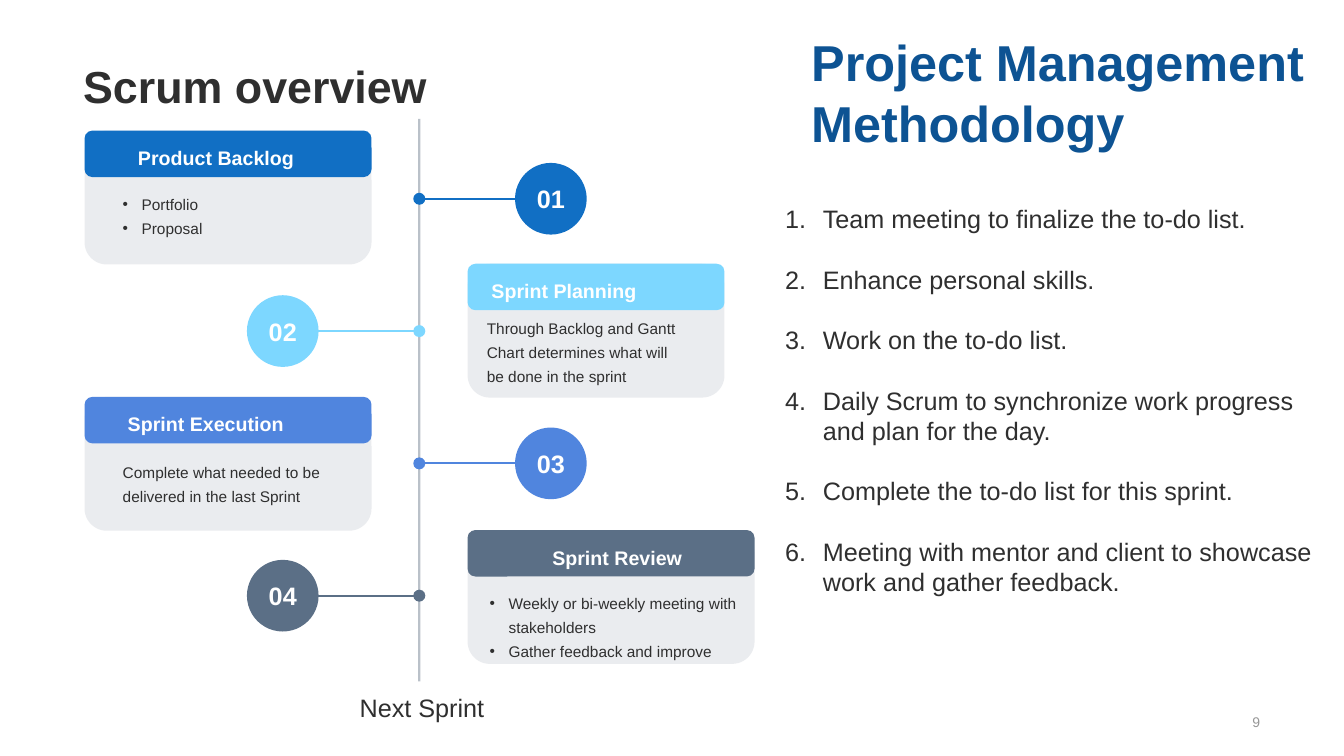
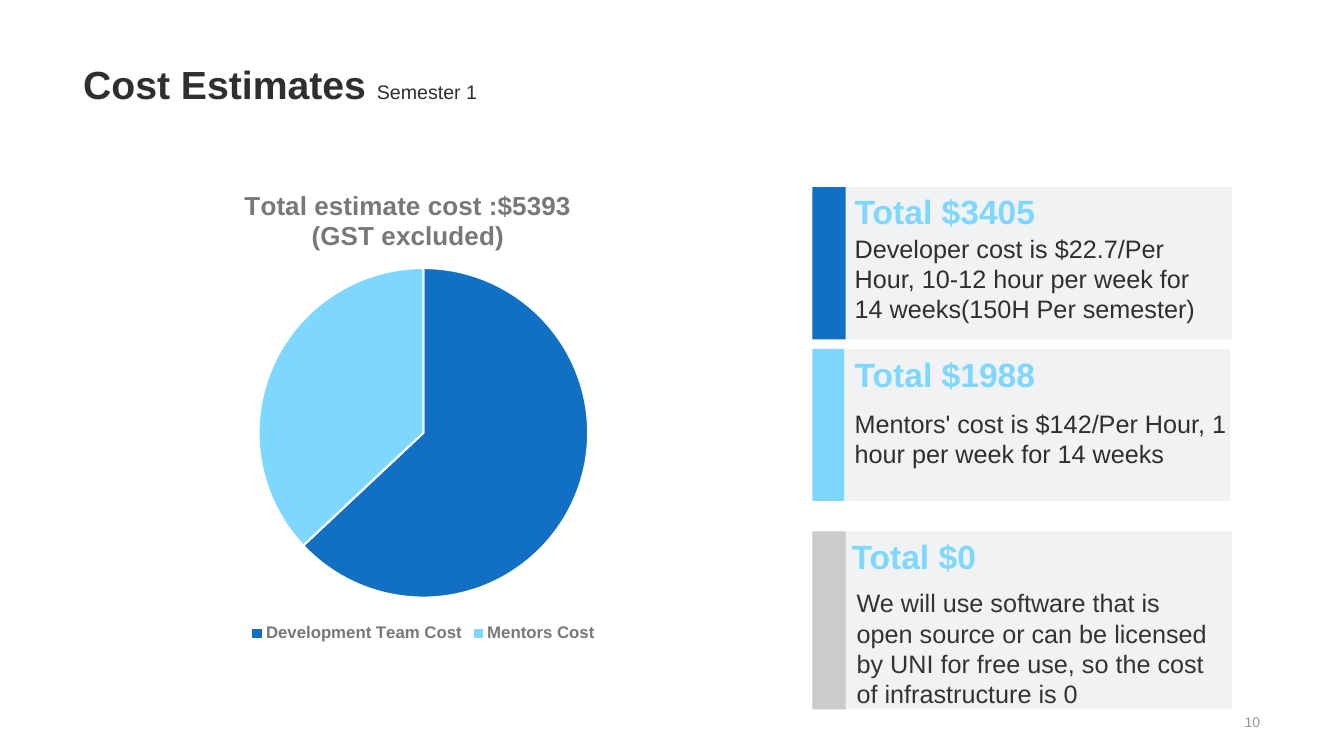
from dataclasses import dataclass
from typing import Optional

from lxml import etree
from pptx import Presentation
from pptx import util as u
from pptx.chart import data as chart_data
from pptx.dml.color import RGBColor
from pptx.enum import chart as charts, shapes, text
from pptx.oxml import ns


@dataclass(frozen=True)
class Theme:
    font: str = "Arial"
    ink: str = "2F2F2F"
    soft_ink: str = "333333"
    white: str = "FFFFFF"
    navy: str = "0D5393"
    blue: str = "116FC4"
    sky: str = "7DD7FF"
    violet: str = "5085DE"
    slate: str = "5B6F86"
    silver: str = "CBCBCB"
    haze: str = "778495"
    chart_gray: str = "787878"
    page_gray: str = "979797"
    tiny: float = 10
    note: float = 11
    legend: float = 12
    label: float = 14
    body: float = 18
    chart_title: float = 18.6
    total: float = 24
    title: float = 28
    wide_title: float = 32
    banner: float = 36


THEME = Theme()
OVAL = shapes.MSO_SHAPE.OVAL
RECT = shapes.MSO_SHAPE.RECTANGLE
ROUND = shapes.MSO_SHAPE.ROUNDED_RECTANGLE
TOP = text.MSO_ANCHOR.TOP
MIDDLE = text.MSO_ANCHOR.MIDDLE
BOTTOM = text.MSO_ANCHOR.BOTTOM


@dataclass(frozen=True)
class Area:
    x: float
    y: float
    w: float
    h: float

    def points(self) -> tuple:
        return u.Pt(self.x), u.Pt(self.y), u.Pt(self.w), u.Pt(self.h)


@dataclass(frozen=True)
class Style:
    size: float
    color: str = THEME.ink
    bold: bool = False
    align: Optional[text.PP_ALIGN] = None
    anchor: text.MSO_ANCHOR = TOP
    line: Optional[float] = None
    after: float = 0
    bullet: str = ""
    indent: float = 0


@dataclass(frozen=True)
class Step:
    color: str
    label: str
    label_x: float
    body: str
    body_area: Area
    width: float = 205
    bulleted: bool = False


@dataclass(frozen=True)
class Cost:
    color: str
    panel: Area
    bar_width: float
    total: str
    total_x: float
    total_y: float
    body: str
    body_area: Area
    ink: str = THEME.ink


STEPS = (
    Step(THEME.blue, "Product Backlog", 91.5, "Portfolio\nProposal",
         Area(80.6, 131.8, 164, 40), bulleted=True),
    Step(THEME.sky, "Sprint Planning", 344,
         "Through Backlog and Gantt Chart determines what will be done in the sprint",
         Area(340.6, 220.3, 150.5, 58), width=183.5),
    Step(THEME.violet, "Sprint Execution", 84.2,
         "Complete what needed to be delivered in the last Sprint",
         Area(80.6, 323.3, 164, 40)),
    Step(THEME.slate, "Sprint Review", 387.4,
         "Weekly or bi-weekly meeting with stakeholders\nGather feedback and improve",
         Area(342.7, 416.9, 192.2, 58), bulleted=True),
)

ROUTINE = (
    "Team meeting to finalize the to-do list.",
    "Enhance personal skills.",
    "Work on the to-do list.",
    "Daily Scrum to synchronize work progress and plan for the day.",
    "Complete the to-do list for this sprint.",
    "Meeting with mentor and client to showcase work and gather feedback.",
)

COSTS = (
    Cost(THEME.blue, Area(580.3, 133.7, 299.5, 108.7), 23.8, "Total $3405", 603.4, 131.8,
         "Developer cost is $22.7/Per Hour, 10-12 hour per week for 14 weeks(150H Per semester)",
         Area(603.4, 163, 275, 72.7)),
    Cost(THEME.sky, Area(580.3, 249.1, 298.5, 108.7), 22.6, "Total $1988", 603.4, 248.6,
         "Mentors' cost is $142/Per Hour, 1 hour per week for 14 weeks",
         Area(603.4, 288, 281, 51)),
    Cost(THEME.silver, Area(580.3, 379.5, 299.5, 127.3), 23.8, "Total $0", 601.2, 378.7,
         "We will use software that is open source or can be licensed by UNI for free use, "
         "so the cost of infrastructure is 0",
         Area(604.8, 416.2, 274.3, 94.3), ink=THEME.soft_ink),
)


def set_font(font, size: float, color: str, bold: bool = False) -> None:
    font.name = THEME.font
    font.size = u.Pt(size)
    font.bold = bold
    font.color.rgb = RGBColor.from_string(color)


def set_alpha(fill_owner, percent: float) -> None:
    for color in fill_owner.iter(ns.qn("a:srgbClr")):
        etree.SubElement(color, ns.qn("a:alpha")).set("val", str(int(percent * 1000)))


def set_bullet(para, style: Style) -> None:
    props = para._p.get_or_add_pPr()
    props.set("marL", str(u.Pt(style.indent)))
    props.set("indent", str(-u.Pt(style.indent)))
    etree.SubElement(props, ns.qn("a:buFont")).set("typeface", THEME.font)
    if style.bullet == "number":
        etree.SubElement(props, ns.qn("a:buAutoNum")).set("type", "arabicPeriod")
    else:
        etree.SubElement(props, ns.qn("a:buChar")).set("char", style.bullet)


def write(frame, words: str, style: Style) -> None:
    frame.word_wrap = True
    frame.vertical_anchor = style.anchor
    frame.text = words
    for para in frame.paragraphs:
        if style.align is not None:
            para.alignment = style.align
        if style.line:
            para.line_spacing = style.line
        if style.after:
            para.space_after = u.Pt(style.after)
        if style.bullet:
            set_bullet(para, style)
        for span in para.runs:
            set_font(span.font, style.size, style.color, style.bold)


def add_text(page, area: Area, words: str, style: Style):
    box = page.shapes.add_textbox(*area.points())
    write(box.text_frame, words, style)
    return box


def add_block(page, kind, area: Area, color: str, alpha: float = 100):
    block = page.shapes.add_shape(kind, *area.points())
    block.shadow.inherit = False
    block.fill.solid()
    block.fill.fore_color.rgb = RGBColor.from_string(color)
    if alpha < 100:
        set_alpha(block._element.spPr, alpha)
    block.line.fill.background()
    return block


def add_disc(page, x: float, y: float, diameter: float, color: str):
    radius = diameter / 2
    return add_block(page, OVAL, Area(x - radius, y - radius, diameter, diameter), color)


def add_line(page, x1: float, y1: float, x2: float, y2: float, color: str,
             alpha: float = 100) -> None:
    line = page.shapes.add_connector(
        shapes.MSO_CONNECTOR.STRAIGHT, u.Pt(x1), u.Pt(y1), u.Pt(x2), u.Pt(y2))
    line.line.color.rgb = RGBColor.from_string(color)
    line.line.width = u.Pt(1.5)
    props = line._element.spPr
    if alpha < 100:
        set_alpha(props, alpha)
    etree.SubElement(props, ns.qn("a:effectLst"))


def add_page(deck, number: int):
    page = deck.slides.add_slide(deck.slide_layouts[6])
    add_text(page, Area(697.7, 507, 209.5, 17), str(number),
             Style(THEME.tiny, THEME.page_gray, align=text.PP_ALIGN.RIGHT, anchor=MIDDLE))
    return page


def add_title(page, words: str, size: float, bottom: float, line: float = 1):
    return add_text(page, Area(52.3, bottom - 46, 855, 46), words,
                    Style(size, bold=True, anchor=BOTTOM, line=line))


def add_step(page, index: int, step: Step) -> None:
    spine = 299.5
    card_left = index % 2 == 0
    center = 142 + 94.5 * index
    disc_x = 393.5 if card_left else 202
    add_disc(page, spine, center, 8.6, step.color)
    add_line(page, spine, center, disc_x, center, step.color)
    disc = add_disc(page, disc_x, center, 51.2, step.color)
    write(disc.text_frame, f"{index + 1:02d}",
          Style(THEME.body, THEME.white, True, text.PP_ALIGN.CENTER, MIDDLE))

    x, y = 60.4 if card_left else 334, 93.3 + 95.1 * index
    add_block(page, ROUND, Area(x, y, step.width, 95.6), THEME.haze, 15)
    add_block(page, ROUND, Area(x, y, step.width, 33.2), step.color)
    add_text(page, Area(step.label_x, y + 2.5, 150, 27.4), step.label,
             Style(THEME.label, THEME.white, True, line=1.3))
    add_text(page, step.body_area, step.body,
             Style(THEME.note, line=1.3, bullet="•" if step.bulleted else "", indent=13.5))


def add_cost(page, cost: Cost) -> None:
    panel = cost.panel
    add_block(page, RECT, panel, THEME.haze, 10)
    add_block(page, RECT, Area(panel.x, panel.y, cost.bar_width, panel.h), cost.color)
    add_text(page, Area(cost.total_x, cost.total_y, 175.7, 36.7), cost.total,
             Style(THEME.total, THEME.sky, True, anchor=BOTTOM))
    add_text(page, cost.body_area, cost.body, Style(THEME.body, cost.ink))


def set_layout(holder, index: int, **places) -> None:
    layout = holder.find(ns.qn("c:layout"))
    if layout is not None:
        holder.remove(layout)
    layout = etree.Element(ns.qn("c:layout"))
    holder.insert(index, layout)
    manual = etree.SubElement(layout, ns.qn("c:manualLayout"))
    for name, value in places.items():
        etree.SubElement(manual, ns.qn(f"c:{name}")).set("val", str(value))


def add_cost_chart(page) -> None:
    values = chart_data.CategoryChartData()
    values.categories = ("Development Team Cost", "Mentors Cost")
    values.add_series("Series 1", (63, 37))
    chart = page.shapes.add_chart(
        charts.XL_CHART_TYPE.PIE, *Area(99.4, 123.1, 406, 338.4).points(), values).chart
    set_font(chart.font, THEME.tiny, THEME.ink, True)
    chart.has_title = True
    write(chart.chart_title.text_frame, "Total estimate cost :$5393\n(GST excluded)",
          Style(THEME.chart_title, THEME.chart_gray, True))
    chart.has_legend = True
    chart.legend.position = charts.XL_LEGEND_POSITION.BOTTOM
    chart.legend.include_in_layout = False
    set_font(chart.legend.font, THEME.legend, THEME.chart_gray, True)
    plot = chart.plots[0]
    plot.vary_by_categories = True
    for index, color in enumerate((THEME.blue, THEME.sky)):
        slice_format = plot.series[0].points[index].format
        slice_format.fill.solid()
        slice_format.fill.fore_color.rgb = RGBColor.from_string(color)
        slice_format.line.color.rgb = RGBColor.from_string(THEME.white)
        slice_format.line.width = u.Pt(1.5)
    set_layout(chart.element.find(f".//{ns.qn('c:title')}"), 1,
               xMode="edge", yMode="edge", x=0.18, y=0.03)
    set_layout(chart.element.find(f".//{ns.qn('c:plotArea')}"), 0,
               layoutTarget="inner", xMode="edge", yMode="edge",
               x=0.21, y=0.2, w=0.58, h=0.7)


def build_scrum(deck) -> None:
    page = add_page(deck, 9)
    add_line(page, 299.5, 85, 299.5, 486.7, THEME.haze, 50)
    for index, step in enumerate(STEPS):
        add_step(page, index, step)
    add_title(page, "Scrum overview", THEME.wide_title, 84.2)
    add_text(page, Area(249.8, 491, 300, 29), "Next Sprint", Style(THEME.body))
    add_text(page, Area(572.4, 18.7, 385, 94.3), "Project Management Methodology",
             Style(THEME.banner, THEME.navy, True))
    add_text(page, Area(553.7, 141.8, 395.3, 291), "\n".join(ROUTINE),
             Style(THEME.body, after=21.6, bullet="number", indent=27))


def build_costs(deck) -> None:
    page = add_page(deck, 10)
    title = add_title(page, "Cost Estimates ", THEME.title, 80.6, 0.9)
    span = title.text_frame.paragraphs[0].add_run()
    span.text = "Semester 1"
    set_font(span.font, THEME.label, THEME.ink)
    add_cost_chart(page)
    for cost in COSTS:
        add_cost(page, cost)


def main() -> None:
    deck = Presentation()
    deck.slide_width, deck.slide_height = u.Pt(960), u.Pt(540)
    build_scrum(deck)
    build_costs(deck)
    deck.save("out.pptx")


if __name__ == "__main__":
    main()
